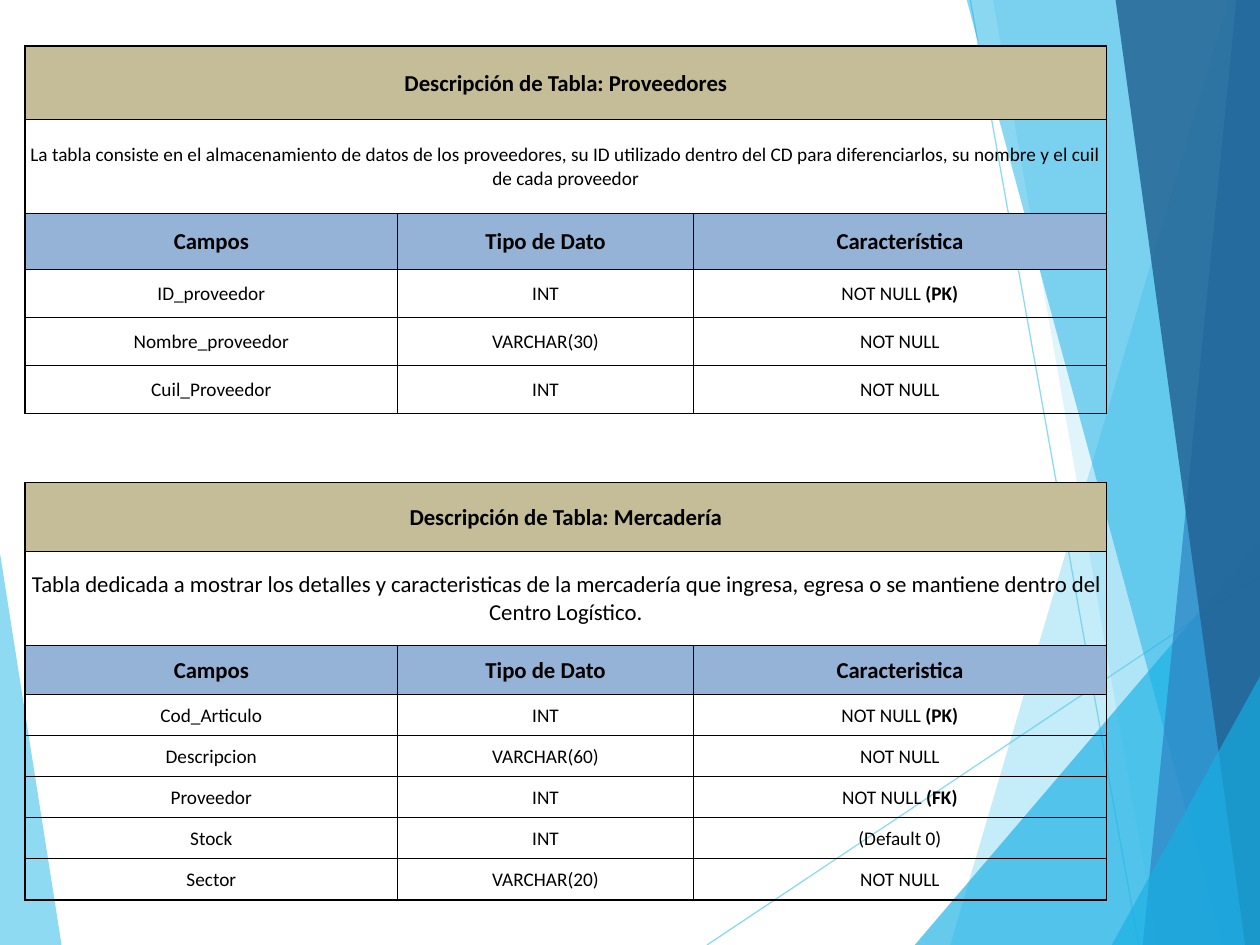
from dataclasses import dataclass

from pptx import Presentation
from pptx.dml.color import RGBColor
from pptx.enum.shapes import MSO_CONNECTOR
from pptx.enum.text import MSO_ANCHOR, PP_ALIGN
from pptx.oxml.ns import qn
from pptx.oxml.xmlchemy import OxmlElement
from pptx.util import Pt


@dataclass(frozen=True)
class Theme:
    """Colours, font and type sizes of the slide."""
    sky: str = "5FCBEF"
    cyan: str = "17B0E4"
    blue: str = "2E83C3"
    navy: str = "226292"
    sand: str = "C4BD97"
    steel: str = "95B3D7"
    ink: str = "000000"
    font: str = "Calibri"
    large: float = 13
    small: float = 11


THEME = Theme()
W, H = 720, 540
COLS = (213, 169, 236)
LEFT = 14.25
THICK, THIN = 1, 0.5

FACETS = [
    ([(0, 316), (35.2, H), (0, H)], THEME.sky, 70),
    ([(702, 0), (543, H), (W, H), (W, 0)], THEME.sky, 36),
    ([(567.5, 0), (661.5, H), (W, H), (W, 0)], THEME.sky, 20),
    ([(522.7, H), (W, 309), (W, H)], THEME.cyan, 66),
    ([(552.4, 0), (698.5, H), (W, H), (W, 0)], THEME.cyan, 50),
    ([(706.5, 0), (653, H), (W, H), (W, 0)], THEME.blue, 70),
    ([(637.5, 0), (711.5, H), (W, H), (W, 0)], THEME.navy, 82),
    ([(635.3, H), (W, 386.5), (W, H)], THEME.cyan, 66),
]
RAYS = [((404, H), (W, 329.3)), ((554.5, 0), (650.7, H))]

SUPPLIERS = dict(
    top=26.25, heights=[42, 53.5, 32] + [27.5] * 3, note_size=THEME.small,
    title="Descripción de Tabla: Proveedores",
    note="La tabla consiste en el almacenamiento de datos de los proveedores, "
         "su ID utilizado dentro del CD para diferenciarlos, su nombre y el "
         "cuil de cada proveedor",
    heads=["Campos", "Tipo de Dato", "Característica"],
    fields=[
        ("ID_proveedor", "INT", "NOT NULL ", "(PK)"),
        ("Nombre_proveedor", "VARCHAR(30)", "NOT NULL"),
        ("Cuil_Proveedor", "INT", "NOT NULL"),
    ])
GOODS = dict(
    top=275.75, heights=[39.5, 53.5, 28] + [23.5] * 5, note_size=THEME.large,
    title="Descripción de Tabla: Mercadería",
    note="Tabla dedicada a mostrar los detalles y caracteristicas de la "
         "mercadería que ingresa, egresa o se mantiene dentro del Centro "
         "Logístico.",
    heads=["Campos", "Tipo de Dato", "Caracteristica"],
    fields=[
        ("Cod_Articulo", "INT", "NOT NULL ", "(PK)"),
        ("Descripcion", "VARCHAR(60)", "NOT NULL"),
        ("Proveedor", "INT", "NOT NULL ", "(FK)"),
        ("Stock", "INT", "(Default 0)"),
        ("Sector", "VARCHAR(20)", "NOT NULL"),
    ])


def set_attrs(obj, values):
    """Set each attribute of obj named in values."""
    for name, value in values.items():
        setattr(obj, name, value)


def paint(fill, color):
    """Give a fill one solid colour."""
    fill.solid()
    fill.fore_color.rgb = RGBColor.from_string(color)


def set_alpha(sp, percent):
    """Make the explicit colours of a shape translucent."""
    for clr in sp._element.spPr.iter(qn("a:srgbClr")):
        alpha = OxmlElement("a:alpha")
        alpha.set("val", str(percent * 1000))
        clr.append(alpha)


def add_facet(s, points, color, alpha):
    """Draw a translucent polygon."""
    pts = [(Pt(x), Pt(y)) for x, y in points]
    builder = s.shapes.build_freeform(*pts[0])
    builder.add_line_segments(pts[1:], close=True)
    sp = builder.convert_to_shape()
    paint(sp.fill, color)
    sp.line.fill.background()
    sp.shadow.inherit = False
    set_alpha(sp, alpha)


def add_ray(s, start, end):
    """Draw a fine translucent line."""
    ends = [Pt(v) for v in start + end]
    sp = s.shapes.add_connector(MSO_CONNECTOR.STRAIGHT, *ends)
    sp.line.width = Pt(0.75)
    paint(sp.line.fill, THEME.sky)
    set_alpha(sp, 70)
    sp._element.spPr.append(OxmlElement("a:effectLst"))


def add_border(cell, side, width):
    """Add a solid line to one side of a cell."""
    ln = OxmlElement(f"a:ln{side}")
    ln.set("w", str(Pt(width)))
    fill, clr = OxmlElement("a:solidFill"), OxmlElement("a:srgbClr")
    clr.set("val", THEME.ink)
    fill.append(clr)
    ln.append(fill)
    cell._tc.get_or_add_tcPr().append(ln)


def write(cell, runs, size):
    """Write (text, bold) runs centred in a cell."""
    p = cell.text_frame.paragraphs[0]
    p.alignment = PP_ALIGN.CENTER
    for text, bold in runs:
        r = p.add_run()
        r.text = text
        set_attrs(r.font, dict(name=THEME.font, size=Pt(size), bold=bold))
        r.font.color.rgb = RGBColor.from_string(THEME.ink)


def format_cell(cell, edges, color):
    """Set margins, anchor, borders and fill of a cell."""
    set_attrs(cell, dict(margin_left=Pt(0.7), margin_right=Pt(0.7),
                         margin_top=Pt(0.7), margin_bottom=0,
                         vertical_anchor=MSO_ANCHOR.MIDDLE))
    for side, outer in edges.items():
        add_border(cell, side, THICK if outer else THIN)
    if color:
        paint(cell.fill, color)
    else:
        cell.fill.background()


def add_description(s, top, heights, note_size, title, note, heads, fields):
    """Add a table that describes the fields of a database table."""
    n = len(heights)
    frame = s.shapes.add_table(n, len(COLS), Pt(LEFT), Pt(top),
                               Pt(sum(COLS)), Pt(sum(heights)))
    table = frame.table
    set_attrs(table, dict(first_row=False, horz_banding=False))
    for col, width in zip(table.columns, COLS):
        col.width = Pt(width)
    for row, height in zip(table.rows, heights):
        row.height = Pt(height)
    fills = {0: THEME.sand, 2: THEME.steel}
    last = len(COLS) - 1
    for i in range(n):
        wide = i < 2
        for j in range(len(COLS)):
            edges = dict(L=j == 0, R=wide or j == last, T=i == 0, B=i == n - 1)
            format_cell(table.cell(i, j), edges, fills.get(i))
        if wide:
            table.cell(i, 0).merge(table.cell(i, last))
    write(table.cell(0, 0), [(title, True)], THEME.large)
    write(table.cell(1, 0), [(note, False)], note_size)
    for j, head in enumerate(heads):
        write(table.cell(2, j), [(head, True)], THEME.large)
    for i, (name, kind, rule, *keys) in enumerate(fields, 3):
        for j, text in enumerate((name, kind, rule)):
            write(table.cell(i, j), [(text, False)], THEME.small)
        write(table.cell(i, last), [(key, True) for key in keys], THEME.small)


def main():
    """Build the slide and save it."""
    prs = Presentation()
    set_attrs(prs, dict(slide_width=Pt(W), slide_height=Pt(H)))
    s = prs.slides.add_slide(prs.slide_layouts[6])
    add_facet(s, *FACETS[0])
    for ray in RAYS:
        add_ray(s, *ray)
    for facet in FACETS[1:]:
        add_facet(s, *facet)
    for description in (SUPPLIERS, GOODS):
        add_description(s, **description)
    prs.save("out.pptx")


if __name__ == "__main__":
    main()
